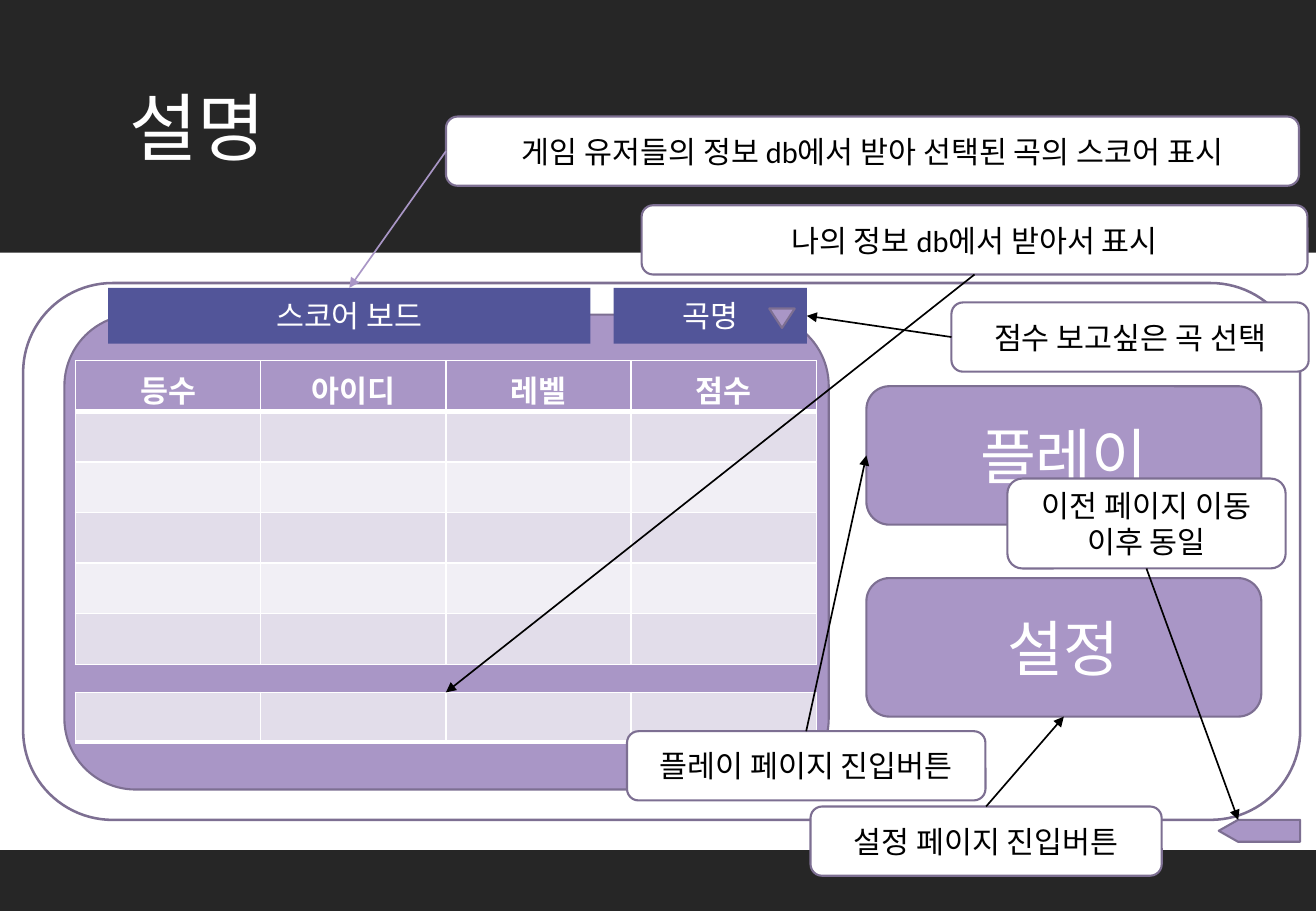
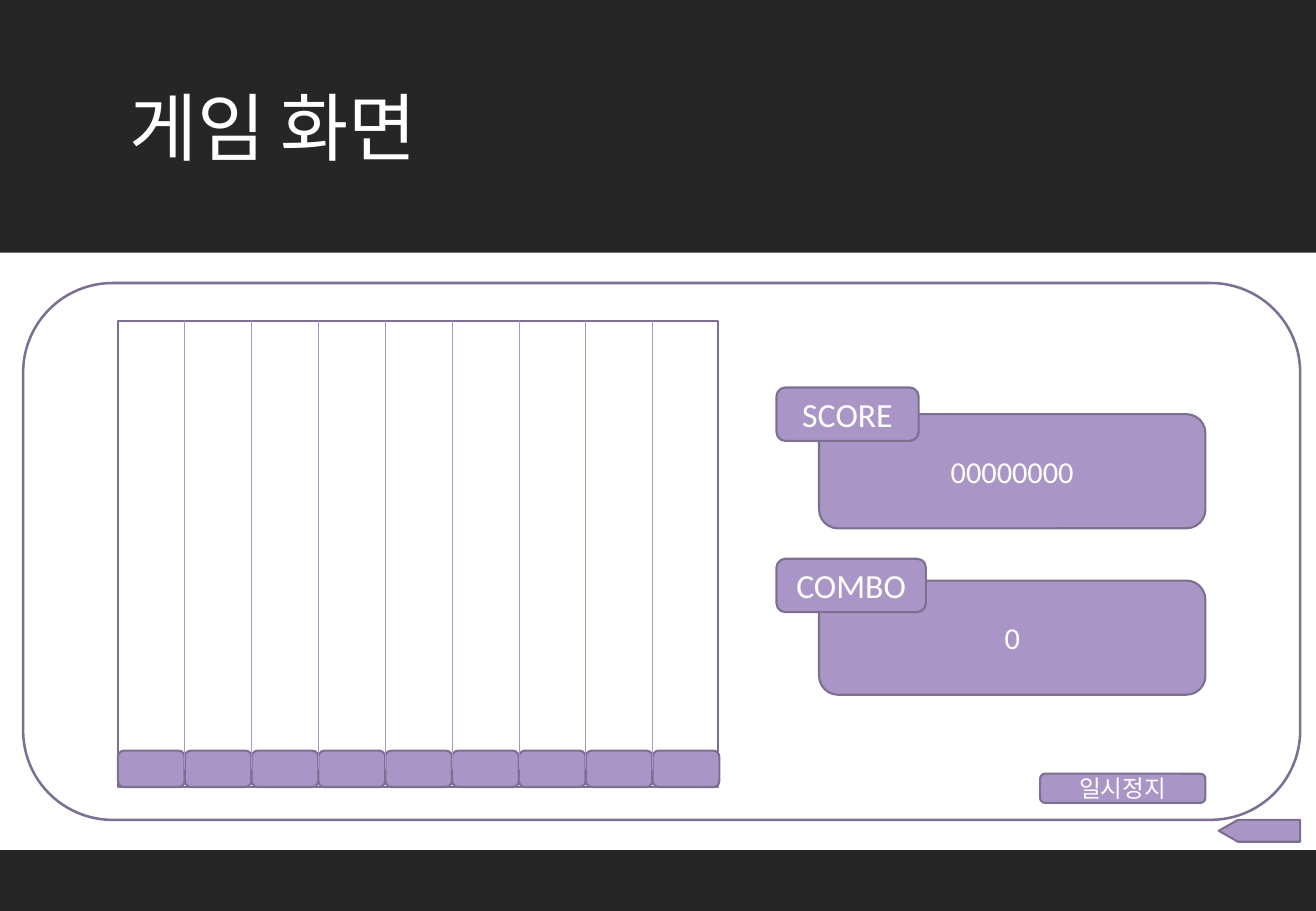
from lxml.etree import SubElement
from pptx import Presentation
from pptx.dml.color import RGBColor
from pptx.enum.shapes import MSO_CONNECTOR, MSO_SHAPE
from pptx.enum.text import MSO_ANCHOR, PP_ALIGN
from pptx.oxml.ns import qn
from pptx.util import Inches, Pt

FONT = "Calibri"
COLORS = {
    "white": "FFFFFF", "black": "000000", "dark": "262626", "lilac": "A996C6",
    "edge": "7D6F92", "navy": "525599", "odd": "E2DDEA", "even": "F1EFF5",
}
TOP, LEFT, BOTTOM, RIGHT = range(4)  # connection sites


def color(name):
    return RGBColor.from_string(COLORS[name])


class Deck:
    def __init__(self, width, height):
        self.prs = Presentation()
        self.prs.slide_width, self.prs.slide_height = Inches(width), Inches(height)
        self.width = width
        self.slide = None

    def start(self, title):
        """Add a slide with its bands, title and rounded screen frame."""
        self.slide = self.prs.slides.add_slide(self.prs.slide_layouts[6])
        back = self.slide.background.fill
        back.solid()
        back.fore_color.rgb = color("white")
        self.shape((0, 0, self.width, 2.08), MSO_SHAPE.RECTANGLE, "dark", None)
        self.title(title)
        self.shape((0, 7, self.width, 0.5), MSO_SHAPE.RECTANGLE, "dark", None)
        self.shape((0.19, 2.33, 10.51, 4.42), fill=None, weight=1.5)

    def title(self, text):
        box = self.slide.shapes.add_textbox(*map(Inches, (0.97, 0.31, 8.94, 1.59)))
        self.letter(box.text_frame, text, 43.9, "white", PP_ALIGN.LEFT)
        line = box.text_frame.paragraphs[0]
        line.line_spacing = 0.8
        line.runs[0]._r.get_or_add_rPr().set("spc", "-40")

    def letter(self, frame, text, size, ink, align=PP_ALIGN.CENTER, bold=False):
        """Put styled text into a frame, one paragraph a line."""
        frame.text = text
        frame.word_wrap = True
        frame.vertical_anchor = MSO_ANCHOR.MIDDLE
        for line in frame.paragraphs:
            line.alignment = align
            font = line.font
            font.name, font.size, font.bold = FONT, Pt(size), bold
            font.color.rgb = color(ink)

    def shape(self, place, kind=MSO_SHAPE.ROUNDED_RECTANGLE, fill="lilac",
              edge="edge", weight=1.25, text="", size=18, ink="white", bends=()):
        item = self.slide.shapes.add_shape(kind, *map(Inches, place))
        item.shadow.inherit = False
        for index, bend in enumerate(bends):
            item.adjustments[index] = bend
        if fill:
            item.fill.solid()
            item.fill.fore_color.rgb = color(fill)
        else:
            item.fill.background()
        if edge:
            item.line.color.rgb = color(edge)
            item.line.width = Pt(weight)
        else:
            item.line.fill.background()
        if text:
            self.letter(item.text_frame, text, size, ink)
        return item

    def label(self, place, text):
        return self.shape(place, MSO_SHAPE.RECTANGLE, "navy", None, text=text)

    def note(self, place, text):
        return self.shape(place, fill="white", text=text, ink="black")

    def line(self, start, end, ink, weight):
        item = self.slide.shapes.add_connector(
            MSO_CONNECTOR.STRAIGHT, *map(Inches, (*start, *end)))
        item.line.color.rgb = color(ink)
        item.line.width = Pt(weight)
        SubElement(item._element.spPr, qn("a:effectLst"))
        return item

    def arrow(self, source, site, tip, ink="black"):
        """Point from a shape's site to a (shape, site) pair or an (x, y) spot."""
        glued = not isinstance(tip[0], float)
        item = self.line((0, 0), (0, 0) if glued else tip, ink, 1)
        item.begin_connect(source, site)
        if glued:
            item.end_connect(*tip)
        SubElement(item._element.spPr.get_or_add_ln(), qn("a:tailEnd"), type="triangle")

    def table(self, place, rows, fills, thick):
        """Draw rows of text; the row at index thick has a heavy lower border."""
        count = len(rows[0])
        grid = self.slide.shapes.add_table(
            len(rows), count, *map(Inches, place)).table
        grid.first_row = grid.horz_banding = False
        for col in grid.columns:
            col.width = Inches(place[2] / count)
        for r, (texts, fill) in enumerate(zip(rows, fills)):
            grid.rows[r].height = Inches(place[3] / len(rows))
            for c, text in enumerate(texts):
                cell = grid.cell(r, c)
                self.letter(cell.text_frame, text, 18, "white", bold=True)
                cell.vertical_anchor = MSO_ANCHOR.TOP
                self.border(cell, 3 if r == thick + 1 else 1, 3 if r == thick else 1)
                cell.fill.solid()
                cell.fill.fore_color.rgb = color(fill)

    def border(self, cell, top, bottom):
        props = cell._tc.get_or_add_tcPr()
        for side, weight in zip("LRTB", (1, 1, top, bottom)):
            edge = SubElement(props, qn(f"a:ln{side}"), w=str(Pt(weight)))
            paint = SubElement(edge, qn("a:solidFill"))
            SubElement(paint, qn("a:srgbClr"), val=COLORS["white"])

    def back(self):
        self.shape((10.03, 6.75, 0.67, 0.18), MSO_SHAPE.LEFT_ARROW, bends=(1, 0.88))


def guide(deck):
    deck.start("설명")
    deck.shape((0.53, 2.59, 6.29, 3.91), bends=(0.15,))
    board = deck.label((0.89, 2.37, 3.97, 0.46), "스코어 보드")
    heads = ["등수", "아이디", "레벨", "점수"]
    blank = [""] * len(heads)
    deck.table((0.62, 2.97, 6.1, 2.5), [heads] + [blank] * 5,
               ["lilac"] + ["odd", "even"] * 2 + ["odd"], 0)
    play, setup = [deck.shape((7.13, top, 3.25, 1.14), text=text, size=36)
                   for top, text in ((3.18, "플레이"), (4.76, "설정"))]
    deck.table((0.62, 5.7, 6.1, 0.41), [blank], ["odd"], 0)

    note = deck.note((3.67, 0.96, 7.02, 0.57),
                     "게임 유저들의 정보 db에서 받아 선택된 곡의 스코어 표시")
    deck.arrow(note, LEFT, (board, TOP), "lilac")
    deck.back()
    song = deck.label((5.05, 2.37, 1.59, 0.46), "곡명")
    drop = deck.shape((6.33, 2.54, 0.21, 0.16), MSO_SHAPE.ISOSCELES_TRIANGLE)
    drop.rotation = 180
    for place, text, site, tip in (
        ((5.28, 1.69, 5.48, 0.57), "나의 정보 db에서 받아서 표시", BOTTOM, (3.67, 5.7)),
        ((5.16, 6.02, 2.95, 0.57), "플레이 페이지 진입버튼", TOP, (play, LEFT)),
        ((6.67, 6.64, 2.89, 0.57), "설정 페이지 진입버튼", TOP, (setup, BOTTOM)),
        ((8.29, 3.94, 2.29, 0.74), "이전 페이지 이동\n이후 동일", BOTTOM, (10.19, 6.75)),
        ((7.83, 2.49, 2.94, 0.57), "점수 보고싶은 곡 선택", LEFT, (song, RIGHT)),
    ):
        deck.arrow(deck.note(place, text), site, tip)


def game(deck):
    deck.start("게임 화면")
    left, top, step, lanes = 0.97, 2.64, 0.55, 9
    deck.shape((left, top, 4.94, 3.84), MSO_SHAPE.RECTANGLE, None)
    for lane in range(lanes):
        deck.shape((left + lane * step, 6.18, step, 0.3))
    for y, value, tag_y, tag, wide in ((3.41, "00000000", 3.19, "SCORE", 1.17),
                                       (4.78, "0", 4.6, "COMBO", 1.23)):
        deck.shape((6.74, y, 3.18, 0.94), text=value)
        deck.shape((6.39, tag_y, wide, 0.44), text=tag, size=20)
    for lane in range(1, lanes):
        x = left + lane * step
        deck.line((x, 6.33), (x, top), "lilac", 0.25)
    deck.shape((8.56, 6.37, 1.36, 0.24), text="일시정지", size=14)
    deck.back()


def main():
    deck = Deck(10.83, 7.5)
    guide(deck)
    game(deck)
    deck.prs.save("out.pptx")


if __name__ == "__main__":
    main()
